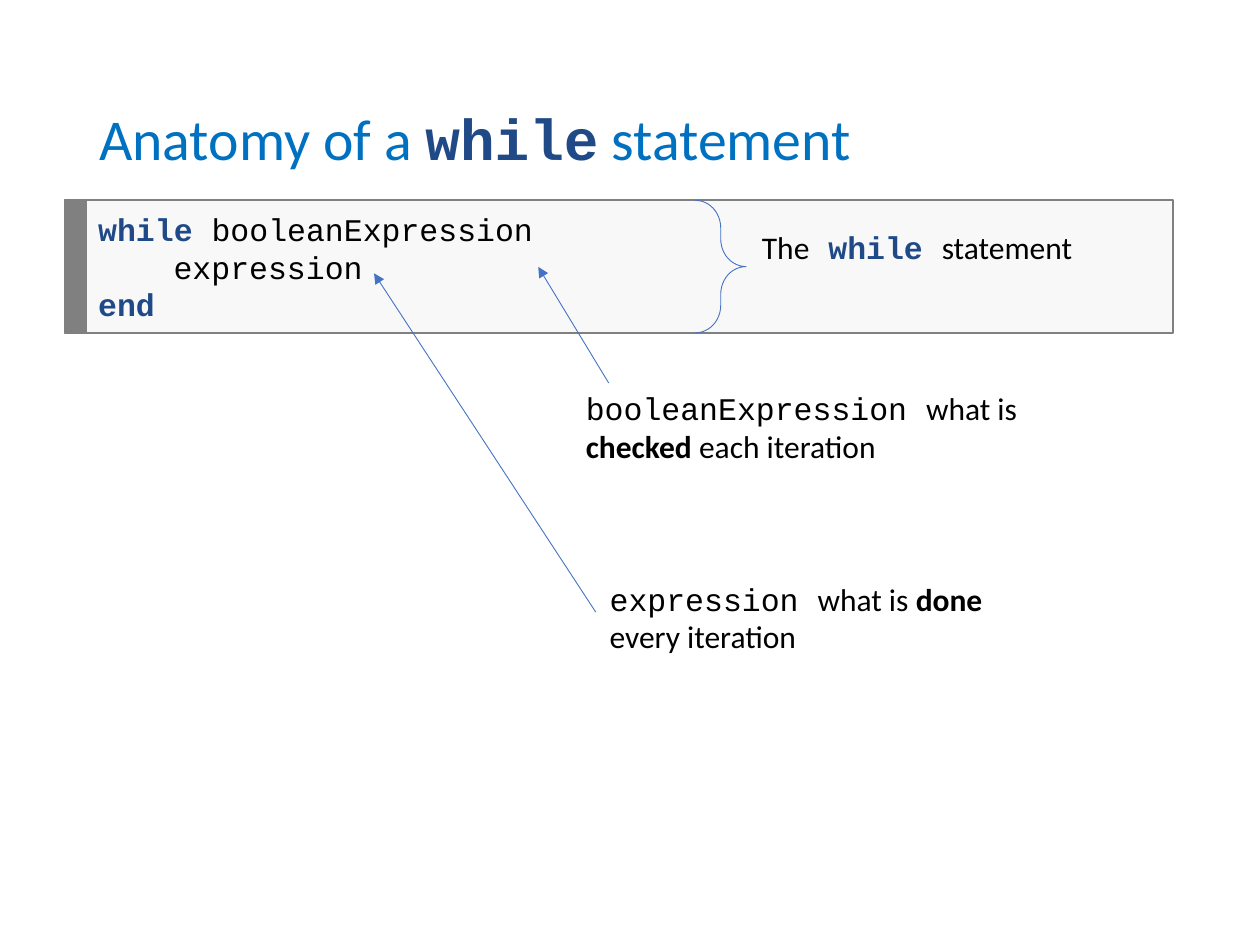
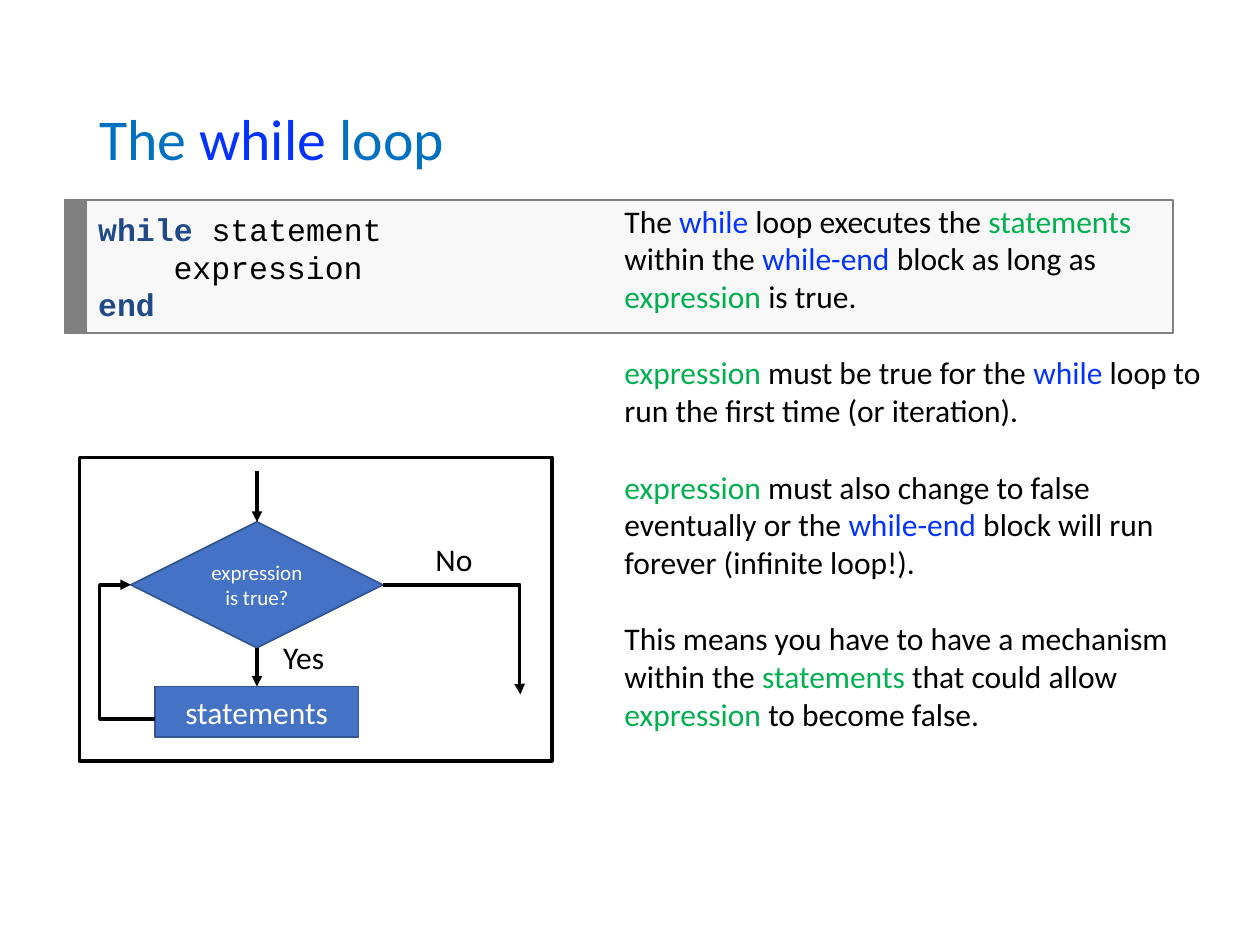
from lxml import etree
from pptx import Presentation
from pptx.dml.color import RGBColor
from pptx.enum.shapes import MSO_CONNECTOR, MSO_SHAPE
from pptx.enum.text import MSO_ANCHOR, PP_ALIGN
from pptx.oxml.ns import qn
from pptx.util import Cm, Pt

STRAIGHT, ELBOW = MSO_CONNECTOR.STRAIGHT, MSO_CONNECTOR.ELBOW
RECTANGLE, BRACE = MSO_SHAPE.RECTANGLE, MSO_SHAPE.RIGHT_BRACE
DECISION, PROCESS = MSO_SHAPE.FLOWCHART_DECISION, MSO_SHAPE.FLOWCHART_PROCESS
MIDDLE, CENTER = MSO_ANCHOR.MIDDLE, PP_ALIGN.CENTER

COLORS = {
    "title": "0070C0", "keyword": "204A87", "black": "000000", "white": "FFFFFF",
    "blue": "0432FF", "green": "00B050", "gray": "808080", "panel": "F8F8F8",
    "accent": "4472C4", "outline": "325491",
}
SANS, MONO = "Calibri", "Courier New"
STYLES = {
    "title": (SANS, "title", False),
    "keyword": (MONO, "keyword", True),
    "code": (MONO, "black", False),
    "body": (SANS, "black", False),
    "strong": (SANS, "black", True),
    "blue": (SANS, "blue", False),
    "green": (SANS, "green", False),
    "label": (SANS, "white", False),
}


def write(text_frame, paragraphs, size=18, wrap=True):
    text_frame.word_wrap = wrap
    for index, runs in enumerate(paragraphs):
        paragraph = text_frame.add_paragraph() if index else text_frame.paragraphs[0]
        for text, style in runs:
            run = paragraph.add_run()
            run.text = text
            name, color, bold = STYLES[style]
            run.font.name, run.font.size, run.font.bold = name, Pt(size), bold
            run.font.color.rgb = RGBColor.from_string(COLORS[color])


def draw(slide, kind, box, fill, line, width):
    shape = slide.shapes.add_shape(kind, *[Cm(value) for value in box])
    shape.shadow.inherit = False
    if fill:
        shape.fill.solid()
        shape.fill.fore_color.rgb = RGBColor.from_string(COLORS[fill])
    else:
        shape.fill.background()
    shape.line.color.rgb = RGBColor.from_string(COLORS[line])
    shape.line.width = Pt(width)
    return shape


presentation = Presentation()
presentation.slide_width, presentation.slide_height = Cm(25.4), Cm(19.05)

PANEL_TOP, PANEL_HEIGHT = 4.04, 2.67
pages = [
    {
        "title": [("Anatomy of a ", "title"), ("while", "keyword"), (" statement", "title")],
        "condition": "booleanExpression",
        "texts": [
            ((11.56, 7.72, 9.3, 1.8), [[("booleanExpression ", "code"), ("what is ", "body"),
                                       ("checked", "strong"), (" each iteration", "body")]], True),
            ((12.04, 11.56, 9.3, 1.8), [[("expression ", "code"), ("what is ", "body"),
                                        ("done", "strong"), (" every iteration", "body")]], True),
            ((15.11, 4.47, 9.3, 1.02), [[("The", "body"), (" while ", "keyword"),
                                        ("statement", "body")]], True),
        ],
        "arrows": [
            (STRAIGHT, (12.01, 12.34, 7.54, 5.51), None),
            (STRAIGHT, (12.27, 7.72, 10.85, 5.38), None),
        ],
        "arrow_line": ("accent", 0.5),
    },
    {
        "title": [("The ", "title"), ("while ", "blue"), ("loop", "title")],
        "condition": "statement",
        "texts": [
            ((12.34, 3.94, 12.14, 14.88), [
                [("The ", "body"), ("while", "blue"), (" loop executes the ", "body"),
                 ("statements", "green"), (" within the ", "body"), ("while-end ", "blue"),
                 ("block as long as ", "body"), ("expression ", "green"), ("is true.", "body")],
                [("expression", "green"), (" must be true for the ", "body"), ("while", "blue"),
                 (" loop to run the first time (or iteration).", "body")],
                [("expression", "green"), (" must also change to false eventually or the ", "body"),
                 ("while-end ", "blue"), ("block will run forever (infinite loop!).", "body")],
                [("This means you have to have a mechanism within the ", "body"),
                 ("statements", "green"), (" that could allow ", "body"),
                 ("expression ", "green"), ("to become false.", "body")],
            ], True),
            ((8.53, 10.77, 1.27, 1.02), [[("No", "body")]], False),
            ((5.46, 12.73, 1.35, 1.02), [[("Yes", "body")]], False),
        ],
        "arrows": [
            (STRAIGHT, (5.18, 9.5, 5.18, 10.52), None),
            (STRAIGHT, (5.18, 13.06, 5.18, 13.84), None),
            (ELBOW, (3.12, 14.5, 2.64, 11.79), 231200),
            (ELBOW, (7.72, 11.79, 10.49, 14), 99600),
        ],
        "arrow_line": ("black", 2),
    },
]

for number, page in enumerate(pages):
    slide = presentation.slides.add_slide(presentation.slide_layouts[6])

    title = slide.shapes.add_textbox(Cm(1.75), Cm(1.02), Cm(21.9), Cm(3.68))
    write(title.text_frame, [page["title"]], 33)
    title.text_frame.vertical_anchor = MIDDLE
    title.text_frame.paragraphs[0].line_spacing = 0.9

    panel = draw(slide, RECTANGLE, (1.73, PANEL_TOP, 21.92, PANEL_HEIGHT), "panel", "gray", 1)
    draw(slide, RECTANGLE, (1.3, PANEL_TOP, 0.43, PANEL_HEIGHT), "gray", "gray", 1)
    write(panel.text_frame, [
        [("while ", "keyword"), (page["condition"], "code")],
        [("expression", "code")],
        [("end", "keyword")],
    ])
    panel.text_frame.vertical_anchor = MIDDLE
    for paragraph in panel.text_frame.paragraphs:
        paragraph.alignment = PP_ALIGN.LEFT
    panel.text_frame.paragraphs[1]._p.get_or_add_pPr().set("marL", str(Cm(1.52)))

    if number == 0:
        brace = draw(slide, BRACE, (14.02, PANEL_TOP, 1.02, PANEL_HEIGHT), None, "accent", 0.5)
        brace.adjustments[0] = 0.545
    else:
        draw(slide, RECTANGLE, (1.6, 9.22, 9.53, 6.12), None, "black", 2)
        for kind, box, text, size in [
            (DECISION, (2.64, 10.52, 5.08, 2.54), "expression is true?", 12),
            (PROCESS, (3.12, 13.84, 4.11, 1.02), "statements", 18),
        ]:
            step = draw(slide, kind, box, "accent", "outline", 1)
            write(step.text_frame, [[(text, "label")]], size)
            step.text_frame.vertical_anchor = MIDDLE
            step.text_frame.paragraphs[0].alignment = CENTER

    for box, paragraphs, wrap in page["texts"]:
        textbox = slide.shapes.add_textbox(*[Cm(value) for value in box])
        write(textbox.text_frame, paragraphs, wrap=wrap)
        for paragraph in textbox.text_frame.paragraphs[1:]:
            paragraph.space_before = Pt(22)

    color, width = page["arrow_line"]
    for kind, ends, bend in page["arrows"]:
        arrow = slide.shapes.add_connector(kind, *[Cm(value) for value in ends])
        arrow.line.color.rgb = RGBColor.from_string(COLORS[color])
        arrow.line.width = Pt(width)
        properties = arrow._element.spPr
        etree.SubElement(properties.find(qn("a:ln")), qn("a:tailEnd"), type="triangle")
        etree.SubElement(properties, qn("a:effectLst"))
        if bend:
            guides = properties.find(qn("a:prstGeom")).find(qn("a:avLst"))
            etree.SubElement(guides, qn("a:gd"), name="adj1", fmla=f"val {bend}")

presentation.save("out.pptx")
